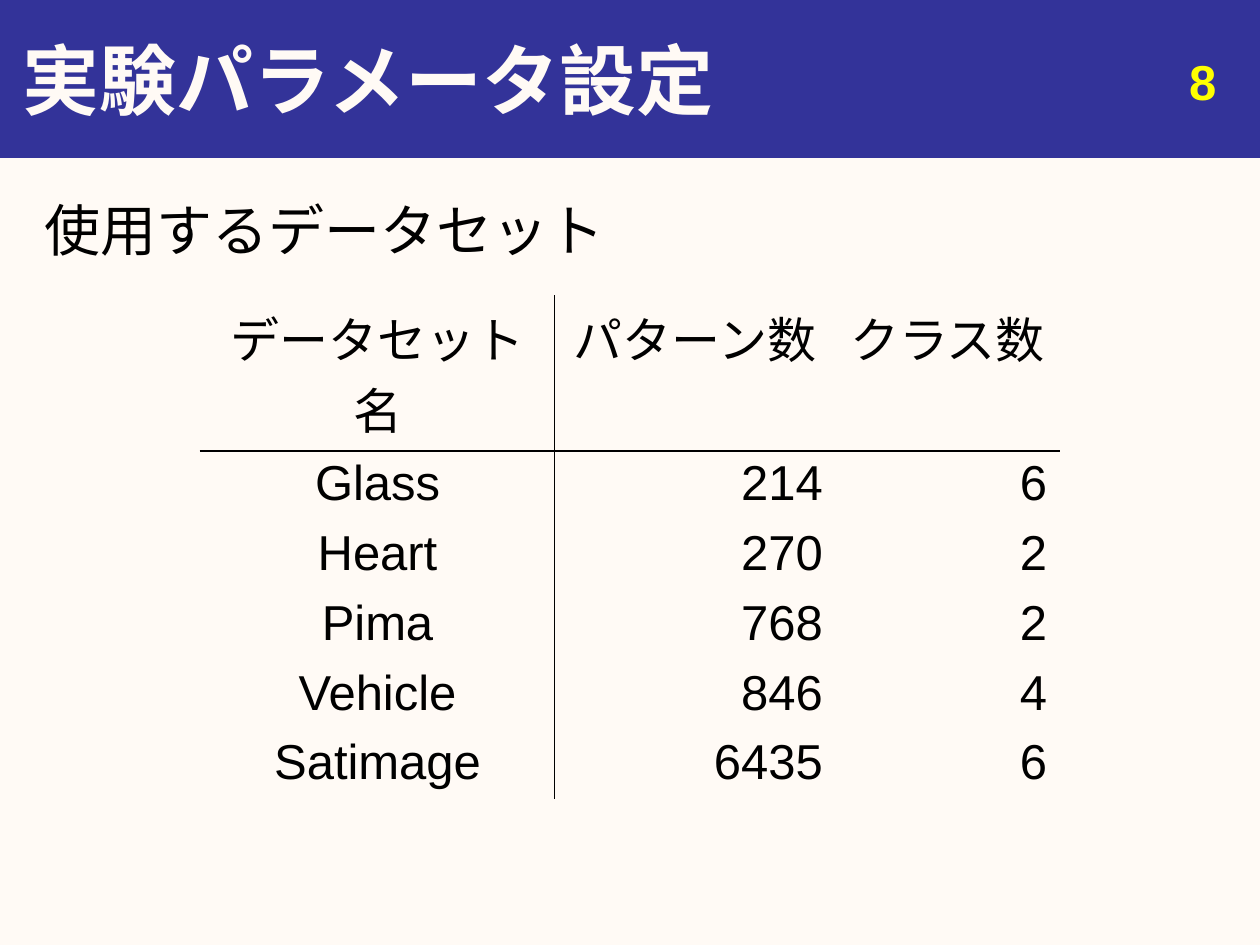
from lxml.etree import SubElement
from pptx import Presentation
from pptx.dml.color import RGBColor
from pptx.enum.shapes import MSO_SHAPE as Shape
from pptx.enum.text import MSO_ANCHOR as Anchor, MSO_AUTO_SIZE as AutoSize, PP_ALIGN as Align
from pptx.oxml.ns import qn
from pptx.util import Cm, Pt

NAVY = RGBColor(0x33, 0x33, 0x99)
CREAM = RGBColor(0xFF, 0xFA, 0xF5)
YELLOW = RGBColor(0xFF, 0xFF, 0x00)
BLACK = RGBColor(0x00, 0x00, 0x00)
FONT = "Arial"

DATASETS = [
    ("データセット名", "パターン数", "クラス数"),
    ("Glass", "214", "6"),
    ("Heart", "270", "2"),
    ("Pima", "768", "2"),
    ("Vehicle", "846", "4"),
    ("Satimage", "6435", "6"),
]
COLUMN_WIDTHS = [Cm(7.14), Cm(5.66), Cm(4.52)]
HEADER_HEIGHT, ROW_HEIGHT = Cm(3.12), Cm(1.35)


def write(frame, text, size, color, bold=False, align=Align.LEFT):
    frame.text = text
    paragraph = frame.paragraphs[0]
    paragraph.alignment = align
    font = paragraph.runs[0].font
    font.name, font.size, font.bold = FONT, Pt(size), bold
    font.color.rgb = color


def add_banner(slide, width, height):
    banner = slide.shapes.add_shape(Shape.RECTANGLE, 0, 0, width, height)
    banner.shadow.inherit = False
    banner.fill.solid()
    banner.fill.fore_color.rgb = NAVY
    banner.line.color.rgb = NAVY
    banner.line.width = Pt(0.75)
    # Behind the title placeholder
    slide.shapes._spTree.insert(2, banner._element)


def set_title(slide, text, left, top, width, height):
    title = slide.shapes.title
    title.left, title.top, title.width, title.height = left, top, width, height
    frame = title.text_frame
    write(frame, text, 44, CREAM, bold=True)
    frame.vertical_anchor = Anchor.MIDDLE
    frame.auto_size = AutoSize.NONE


def add_text(slide, text, box, size, color, **style):
    frame = slide.shapes.add_textbox(*box).text_frame
    frame.word_wrap = True
    write(frame, text, size, color, **style)


def set_borders(cell, colors):
    """Draw the left, right, top and bottom borders; None means no line."""
    properties = cell._tc.get_or_add_tcPr()
    for side, color in zip("LRTB", colors):
        line = SubElement(properties, qn(f"a:ln{side}"), w=str(Pt(1)))
        if color is None:
            SubElement(line, qn("a:noFill"))
        else:
            fill = SubElement(line, qn("a:solidFill"))
            SubElement(fill, qn("a:srgbClr"), val=str(color))


def add_dataset_table(slide, left, top):
    last_row, last_column = len(DATASETS) - 1, len(COLUMN_WIDTHS) - 1
    height = HEADER_HEIGHT + ROW_HEIGHT * last_row
    table = slide.shapes.add_table(len(DATASETS), len(COLUMN_WIDTHS), left, top,
                                   sum(COLUMN_WIDTHS), height).table
    table.first_row = table.horz_banding = False
    for column, width in zip(table.columns, COLUMN_WIDTHS):
        column.width = width
    for r, values in enumerate(DATASETS):
        table.rows[r].height = ROW_HEIGHT if r else HEADER_HEIGHT
        for c, value in enumerate(values):
            cell = table.cell(r, c)
            cell.margin_top = cell.margin_bottom = Cm(0.11)
            align = Align.RIGHT if r and c else Align.CENTER
            write(cell.text_frame, value, 28, BLACK, align=align)
            set_borders(cell, (
                {0: CREAM, 1: BLACK}.get(c),
                {0: BLACK, last_column: CREAM}.get(c),
                {0: CREAM, 1: BLACK}.get(r),
                {0: BLACK, last_row: CREAM}.get(r),
            ))
            cell.fill.background()


def main():
    deck = Presentation()
    deck.slide_width, deck.slide_height = Cm(25.4), Cm(19.05)
    slide = deck.slides.add_slide(deck.slide_layouts[5])
    slide.background.fill.solid()
    slide.background.fill.fore_color.rgb = CREAM

    banner_height = Cm(3.18)
    add_banner(slide, deck.slide_width, banner_height)
    set_title(slide, "実験パラメータ設定", Cm(0.2), 0, Cm(25.2), banner_height)
    add_text(slide, "使用するデータセット",
             (Cm(0.64), Cm(3.81), Cm(24.13), Cm(14.4)), 32, BLACK)
    add_text(slide, "8", (Cm(18.85), Cm(0.91), Cm(5.92), Cm(1.32)), 28, YELLOW,
             bold=True, align=Align.RIGHT)
    add_dataset_table(slide, Cm(4.04), Cm(5.97))
    deck.save("out.pptx")


if __name__ == "__main__":
    main()
